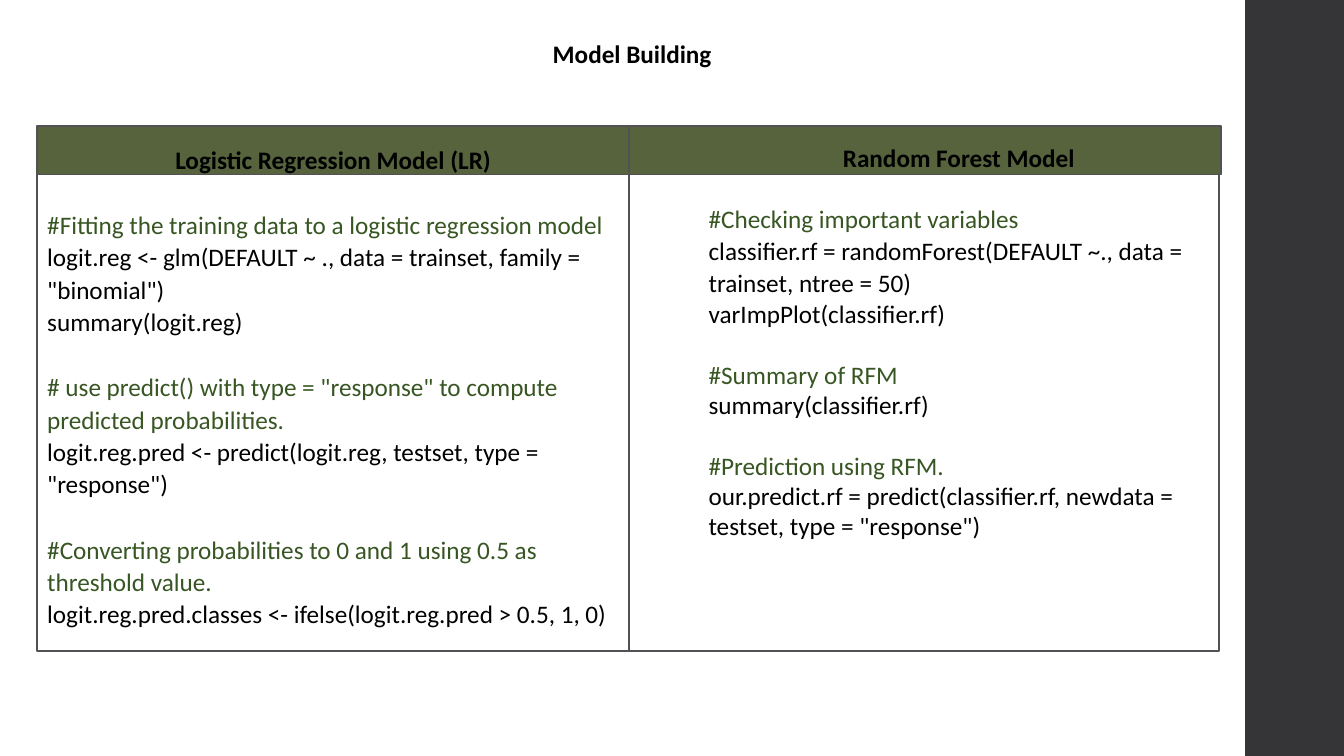
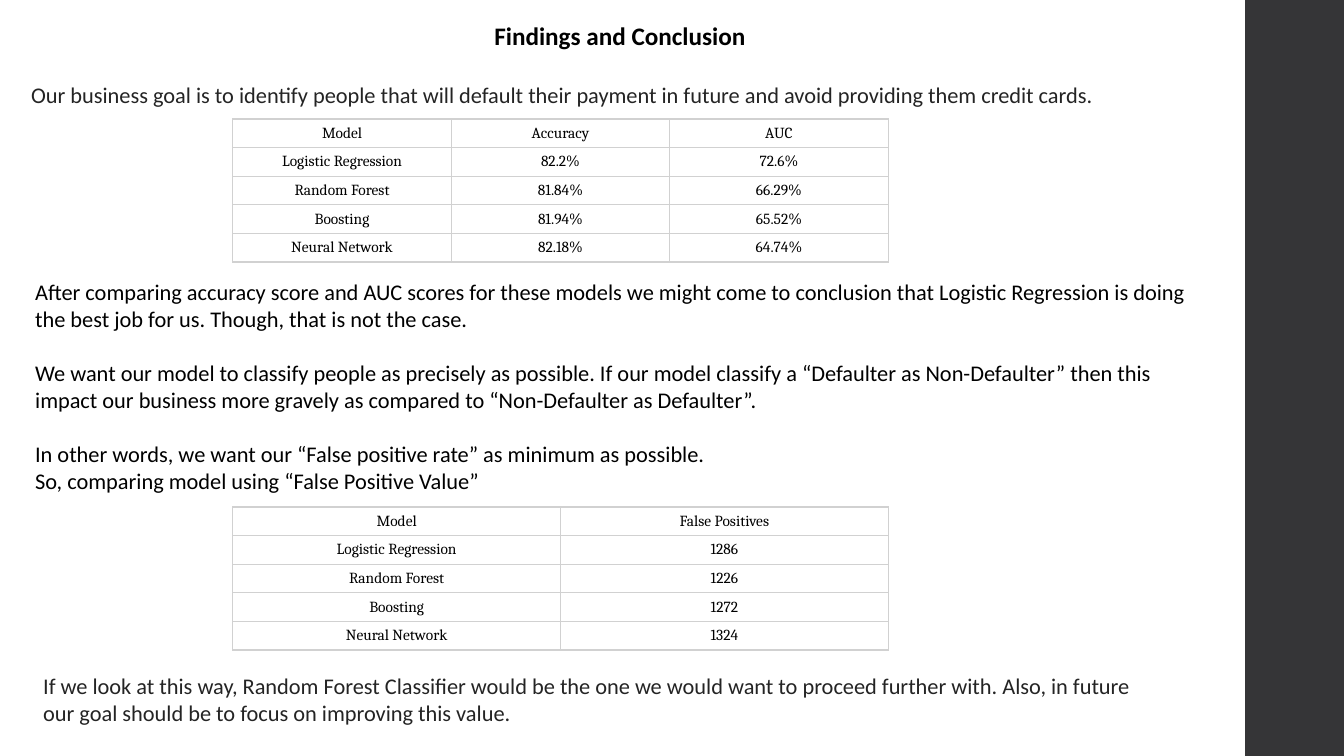
from lxml import etree
from pptx import Presentation, util as u
from pptx.dml import color
from pptx.enum import shapes, text
from pptx.oxml import ns

BLACK, WHITE = "000000", "FFFFFF"
DARK, EDGE, OLIVE = "353537", "525256", "56633D"
GREEN, INK, RULE = "385623", "242424", "D1D1D1"
LOOSE = 1.07
HEAD = {"size": 18, "bold": True, "align": text.PP_ALIGN.CENTER}
CELL = {"size": 11, "name": "Cambria", "align": text.PP_ALIGN.CENTER}

LOGIT = [
    "#Fitting the training data to a logistic regression model",
    'logit.reg <- glm(DEFAULT ~ ., data = trainset, family = "binomial")',
    "summary(logit.reg)",
    '# use predict() with type = "response" to compute predicted probabilities.',
    'logit.reg.pred <- predict(logit.reg, testset, type = "response")',
    "#Converting probabilities to 0 and 1 using 0.5 as threshold value.",
    "logit.reg.pred.classes <- ifelse(logit.reg.pred > 0.5, 1, 0)",
]
FOREST = [
    "#Checking important variables",
    "classifier.rf = randomForest(DEFAULT ~., data = trainset, ntree = 50)",
    "varImpPlot(classifier.rf)",
    "#Summary of RFM",
    "summary(classifier.rf)",
    "#Prediction using RFM.",
    'our.predict.rf = predict(classifier.rf, newdata = testset, type = "response")',
]
GOAL = ("Our business goal is to identify people that will default their payment "
        "in future and avoid providing them credit cards.")
SCORES = [
    ("Model", "Accuracy", "AUC"),
    ("Logistic Regression", "82.2%", "72.6%"),
    ("Random Forest", "81.84%", "66.29%"),
    ("Boosting", "81.94%", "65.52%"),
    ("Neural Network", "82.18%", "64.74%"),
]
REASONS = [
    "After comparing accuracy score and AUC scores for these models we might come "
    "to conclusion that Logistic Regression is doing the best job for us. Though, "
    "that is not the case.",
    "We want our model to classify people as precisely as possible. If our model "
    "classify a “Defaulter as Non-Defaulter” then this impact our business more "
    "gravely as compared to “Non-Defaulter as Defaulter”.",
    "In other words, we want our “False positive rate” as minimum as possible.",
    "So, comparing model using “False Positive Value”",
]
ERRORS = [
    ("Model", "False Positives"),
    ("Logistic Regression", "1286"),
    ("Random Forest", "1226"),
    ("Boosting", "1272"),
    ("Neural Network", "1324"),
]
CLOSE = ("If we look at this way, Random Forest Classifier would be the one we would "
         "want to proceed further with. Also, in future our goal should be to focus "
         "on improving this value.")


def rgb(code):
    return color.RGBColor.from_string(code)


def place(at):
    return [u.Inches(n) for n in at]


def write(frame, lines):
    """Fill a text frame from (words, format) pairs, one paragraph each."""
    for i, (words, extra) in enumerate(lines):
        para = frame.add_paragraph() if i else frame.paragraphs[0]
        run = para.add_run()
        run.text = words
        form = {"size": 16, "name": "Calibri", "bold": False, "color": BLACK,
                "align": text.PP_ALIGN.LEFT, "before": 0, "pitch": 1.0} | extra
        run.font.color.rgb = rgb(form["color"])
        font = {"size": u.Pt(form["size"]), "name": form["name"], "bold": form["bold"]}
        flow = {"alignment": form["align"], "space_before": u.Pt(form["before"]),
                "line_spacing": form["pitch"]}
        for item, values in ((run.font, font), (para, flow)):
            for key, value in values.items():
                setattr(item, key, value)


def add_text(slide, at, lines):
    frame = slide.shapes.add_textbox(*place(at)).text_frame
    frame.word_wrap = True
    write(frame, lines)


def add_rect(slide, at, fill, edge=None):
    rect = slide.shapes.add_shape(shapes.MSO_SHAPE.RECTANGLE, *place(at))
    rect.shadow.inherit = False
    rect.fill.solid()
    rect.fill.fore_color.rgb = rgb(fill)
    if edge:
        rect.line.color.rgb = rgb(edge)
        rect.line.width = u.Pt(1.1)
    else:
        rect.line.fill.background()
    return rect


def add_slide(deck, layout, words, at):
    slide = deck.slides.add_slide(layout)
    title = slide.shapes.title
    title.left, title.top, title.width, title.height = place(at)
    frame = title.text_frame
    frame.auto_size = text.MSO_AUTO_SIZE.NONE
    frame.vertical_anchor = text.MSO_ANCHOR.TOP
    write(frame, [(words, HEAD)])
    return slide


def add_code(slide, at, head, code, gap, loose):
    """Write a heading and its code; a gap opens each remark, loose rows are wider."""
    lines = [(head, HEAD | {"pitch": LOOSE if 0 in loose else 1.0})]
    for i, row in enumerate(code, 1):
        note = row.startswith("#")
        lines.append((row, {"size": 18, "color": GREEN if note else BLACK,
                            "before": gap if note else 0,
                            "pitch": LOOSE if i in loose else 1.0}))
    add_text(slide, at, lines)


def rule_cell(cell):
    props = cell._tc.get_or_add_tcPr()
    for side in ("lnL", "lnR", "lnT", "lnB"):
        line = etree.SubElement(props, ns.qn("a:" + side), w=str(u.Pt(1)))
        fill = etree.SubElement(line, ns.qn("a:solidFill"))
        etree.SubElement(fill, ns.qn("a:srgbClr"), val=RULE)


def add_grid(slide, top, rows):
    wide, high = 6.5, 1.42
    count = len(rows[0])
    table = slide.shapes.add_table(len(rows), count,
                                   *place((2.31, top, wide, high))).table
    table.first_row = table.horz_banding = False
    for col in table.columns:
        col.width = u.Inches(wide / count)
    for row, values in zip(table.rows, rows):
        row.height = u.Inches(high / len(rows))
        for cell, value in zip(row.cells, values):
            rule_cell(cell)
            cell.fill.solid()
            cell.fill.fore_color.rgb = rgb(WHITE)
            cell.vertical_anchor = text.MSO_ANCHOR.MIDDLE
            write(cell.text_frame, [(value, CELL)])


def build_models(slide):
    left, top, wide, bar = 0.37, 1.25, 5.87, 0.48
    for i, trim in enumerate((0, 0.02)):
        x = left + i * wide
        add_rect(slide, (x, top + bar, wide - trim, 4.73), WHITE, EDGE)
        add_rect(slide, (x, top, wide, bar), OLIVE, EDGE)
    add_code(slide, (left, 1.36, wide, 5.1), "Logistic Regression Model (LR)",
             LOGIT, 23.5, range(len(LOGIT) + 1))
    add_code(slide, (6.93, 1.36, 5.16, 4.08), "Random Forest Model",
             FOREST, 22, [2])


def build_findings(slide):
    add_text(slide, (0.21, 0.76, 11.88, 0.4), [(GOAL, {"color": INK})])
    add_grid(slide, 1.18, SCORES)
    add_text(slide, (0.25, 2.71, 11.81, 2.2),
             [(row, {"before": gap}) for row, gap in zip(REASONS, (0, 19.5, 19.5, 0))])
    add_grid(slide, 5.03, ERRORS)
    add_text(slide, (0.33, 6.62, 11.12, 0.64), [(CLOSE, {"color": INK})])


def main():
    deck = Presentation()
    deck.slide_width, deck.slide_height = place((13.33, 7.5))
    layout = deck.slide_layouts[5]
    models = add_slide(deck, layout, "Model Building", (0.45, 0.33, 11.64, 0.4))
    # The side band moves to the layout, so every slide shows it.
    band = add_rect(models, (12.35, 0, 0.98, 7.5), DARK)
    layout.shapes.element.insert(2, band.element)
    build_models(models)
    build_findings(add_slide(deck, layout, "Findings and Conclusion",
                             (0.21, 0.15, 11.88, 0.4)))
    deck.save("out.pptx")


if __name__ == "__main__":
    main()
